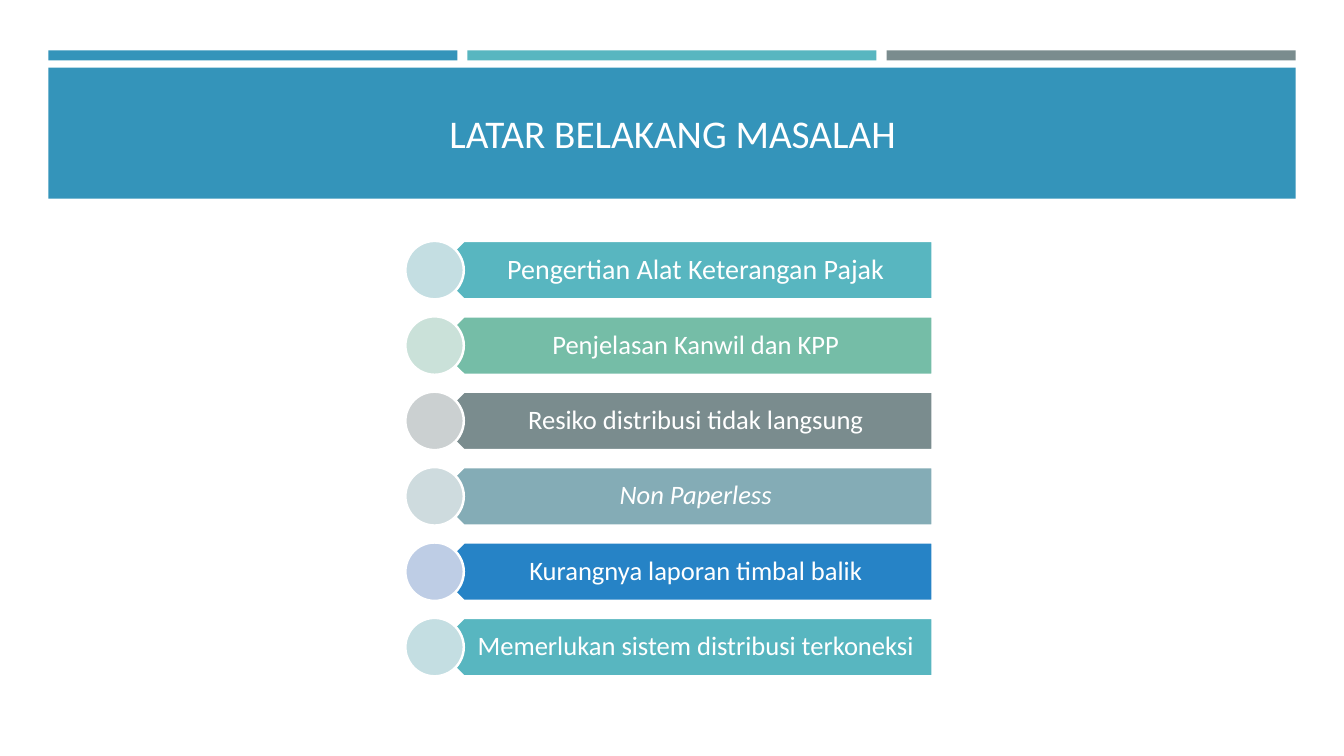
import pptx
import pptx.util
import pptx.dml.color
import pptx.enum.shapes
import pptx.enum.text

Inches = pptx.util.Inches
RGBColor = pptx.dml.color.RGBColor
SHAPE = pptx.enum.shapes.MSO_SHAPE
ANCHOR = pptx.enum.text.MSO_ANCHOR

WHITE = RGBColor(0xFF, 0xFF, 0xFF)
BLUE = RGBColor(0x34, 0x94, 0xBA)
TEAL = RGBColor(0x58, 0xB6, 0xC0)
GREEN = RGBColor(0x75, 0xBD, 0xA7)
GREY = RGBColor(0x7A, 0x8C, 0x8E)
STEEL = RGBColor(0x84, 0xAC, 0xB6)
ROYAL = RGBColor(0x26, 0x83, 0xC6)
PALE_TEAL = RGBColor(0xC4, 0xDE, 0xE2)
PALE_GREEN = RGBColor(0xCA, 0xE1, 0xD9)
PALE_GREY = RGBColor(0xCB, 0xD0, 0xD1)
PALE_STEEL = RGBColor(0xCE, 0xDB, 0xDE)
PALE_ROYAL = RGBColor(0xBE, 0xCD, 0xE5)

# Topic, bar colour, circle colour, text size, italic
TOPICS = [
    ("Pengertian Alat Keterangan Pajak", TEAL, PALE_TEAL, 20, False),
    ("Penjelasan Kanwil dan KPP", GREEN, PALE_GREEN, 19, False),
    ("Resiko distribusi tidak langsung", GREY, PALE_GREY, 19, False),
    ("Non Paperless", STEEL, PALE_STEEL, 19, True),
    ("Kurangnya laporan timbal balik", ROYAL, PALE_ROYAL, 19, False),
    ("Memerlukan sistem distribusi terkoneksi", TEAL, PALE_TEAL, 19, False),
]


def add_block(slide, kind, left, top, width, height, fill, outline=None):
    """Add a filled preset shape, with an outline if a colour is given."""
    block = slide.shapes.add_shape(
        kind, Inches(left), Inches(top), Inches(width), Inches(height))
    block.shadow.inherit = False
    block.fill.solid()
    block.fill.fore_color.rgb = fill
    if outline is None:
        block.line.fill.background()
    else:
        block.line.color.rgb = outline
        block.line.width = pptx.util.Pt(1.75)
    return block


def add_text(slide, text, left, top, width, height, *, size, italic=False,
             anchor=ANCHOR.MIDDLE, insets=(0.1, 0.05, 0.1, 0.05), spacing=1.0):
    """Add centred white text; insets run left, top, right, bottom."""
    label = slide.shapes.add_textbox(
        Inches(left), Inches(top), Inches(width), Inches(height))
    frame = label.text_frame
    frame.word_wrap = True
    frame.vertical_anchor = anchor
    (frame.margin_left, frame.margin_top,
     frame.margin_right, frame.margin_bottom) = map(Inches, insets)
    paragraph = frame.paragraphs[0]
    paragraph.alignment = pptx.enum.text.PP_ALIGN.CENTER
    paragraph.line_spacing = spacing
    run = paragraph.add_run()
    run.text = text
    run.font.name = "Calibri"
    run.font.size = pptx.util.Pt(size)
    run.font.italic = italic
    run.font.color.rgb = WHITE


def add_header(slide, left, top, width, height):
    """Draw three accent strips above the title band."""
    gap, strip_height, band_offset = 0.1, 0.1, 0.17
    strip_width = (width - 2 * gap) / 3
    for index, colour in enumerate((BLUE, TEAL, GREY)):
        add_block(slide, SHAPE.RECTANGLE, left + index * (strip_width + gap),
                  top, strip_width, strip_height, colour)
    add_block(slide, SHAPE.RECTANGLE, left, top + band_offset,
              width, height - band_offset, BLUE)
    add_text(slide, "LATAR BELAKANG MASALAH", left + 0.16, top + 0.49,
             width - 0.31, 0.61, size=28, anchor=ANCHOR.BOTTOM)


def add_topics(slide, left, top, width, height):
    """Stack the topic bars evenly, each with a circle on its left end."""
    row_height = 0.58
    pitch = (height - row_height) / (len(TOPICS) - 1)
    bar_offset, text_offset = row_height / 2, 0.43
    for index, (topic, colour, pale, size, italic) in enumerate(TOPICS):
        row_top = top + index * pitch
        bar = add_block(slide, SHAPE.PENTAGON, left + bar_offset, row_top,
                        width - bar_offset, row_height, colour, WHITE)
        bar.rotation = 180
        add_text(slide, topic, left + text_offset, row_top,
                 width - text_offset, row_height, size=size, italic=italic,
                 insets=(0.25, 0.08, 0.15, 0.08), spacing=0.9)
        add_block(slide, SHAPE.OVAL, left, row_top,
                  row_height, row_height, pale, WHITE)


def main():
    """Build the slide and save it."""
    deck = pptx.Presentation()
    deck.slide_width, deck.slide_height = Inches(13.33), Inches(7.5)
    slide = deck.slides.add_slide(deck.slide_layouts[6])
    add_header(slide, 0.48, 0.5, 12.37, 1.47)
    add_topics(slide, 4.02, 2.39, 5.23, 4.32)
    deck.save("out.pptx")


main()
